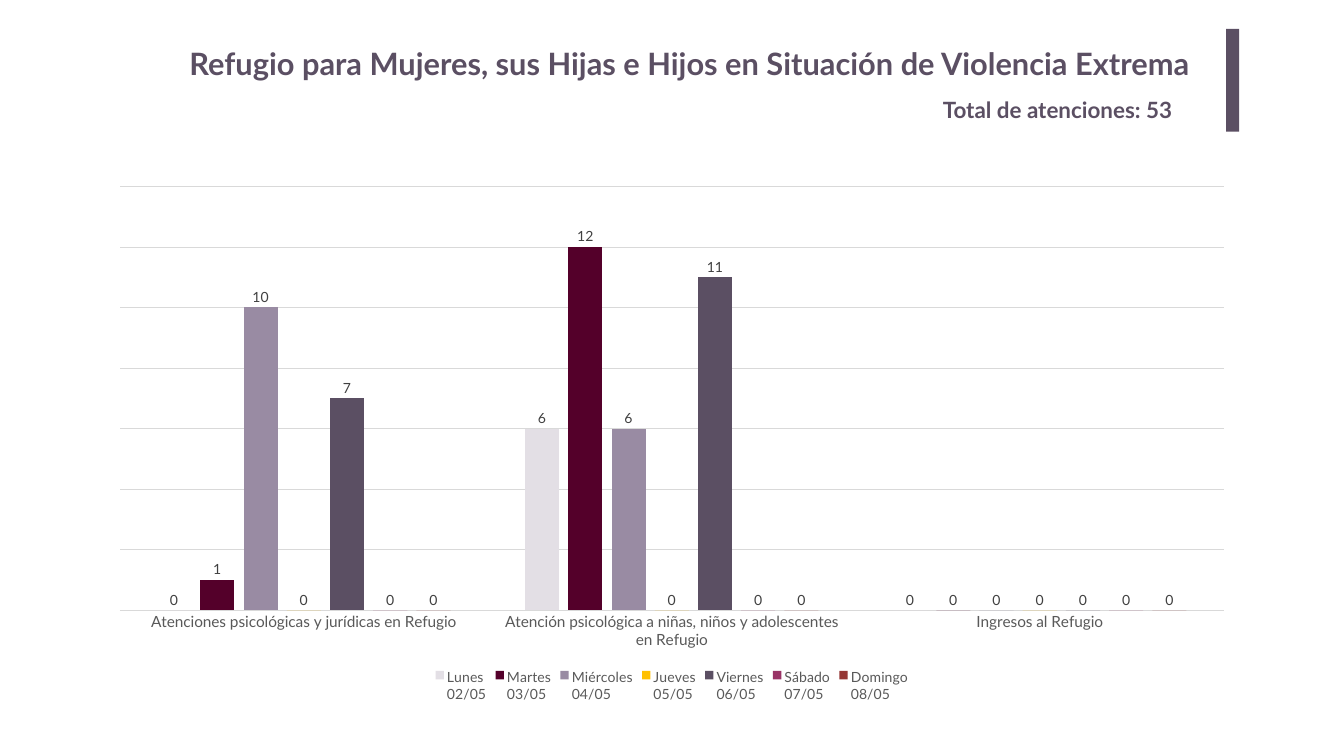
from lxml import etree
from pptx import Presentation
from pptx.chart.data import CategoryChartData
from pptx.dml.color import RGBColor
from pptx.enum.chart import XL_CHART_TYPE as ChartType, XL_LABEL_POSITION as LabelPosition
from pptx.enum.chart import XL_LEGEND_POSITION as LegendPosition, XL_TICK_MARK as TickMark
from pptx.enum.shapes import MSO_SHAPE as Shape
from pptx.enum.text import MSO_AUTO_SIZE as AutoSize
from pptx.oxml.ns import qn
from pptx.util import Cm, Pt

PURPLE, GREY, RULE = "5B4F63", "595959", "D9D9D9"


def set_font(font, size, color, bold=False):
    font.name = "Lato"
    font.size = Pt(size)
    font.bold = bold
    font.color.rgb = RGBColor.from_string(color)


presentation = Presentation()
presentation.slide_width = Cm(67.74)
presentation.slide_height = Cm(38.1)
slide = presentation.slides.add_slide(presentation.slide_layouts[6])

# Heading with its accent bar
bar = slide.shapes.add_shape(Shape.RECTANGLE, Cm(61.8), Cm(1.45), Cm(0.66), Cm(5.18))
bar.shadow.inherit = False
bar.fill.solid()
bar.fill.fore_color.rgb = RGBColor.from_string(PURPLE)
bar.line.fill.background()

headings = [
    ("Total de atenciones: 53", 32, 47.27, 4.7, 13.59, 1.63),
    ("Refugio para Mujeres, sus Hijas e Hijos en Situación de Violencia Extrema",
     44, 9.3, 2.13, 52.65, 2.13),
]
for text, size, left, top, width, height in headings:
    box = slide.shapes.add_textbox(Cm(left), Cm(top), Cm(width), Cm(height))
    frame = box.text_frame
    frame.word_wrap = True
    frame.auto_size = AutoSize.SHAPE_TO_FIT_TEXT
    run = frame.paragraphs[0].add_run()
    run.text = text
    set_font(run.font, size, PURPLE, bold=True)

# Services per day
days = [
    ("Lunes\n02/05", (0, 6, 0), "E3DFE5"),
    ("Martes\n03/05", (1, 12, 0), "54002A"),
    ("Miércoles\n04/05", (10, 6, 0), "998BA3"),
    ("Jueves\n05/05", (0, 0, 0), "FFC000"),
    ("Viernes\n06/05", (7, 11, 0), PURPLE),
    ("Sábado\n07/05", (0, 0, 0), "993366"),
    ("Domingo\n08/05", (0, 0, 0), "953735"),
]
chart_data = CategoryChartData(number_format="0")
chart_data.categories = [
    "Atenciones psicológicas y jurídicas en Refugio",
    "Atención psicológica a niñas, niños y adolescentes en Refugio",
    "Ingresos al Refugio",
]
for name, values, color in days:
    chart_data.add_series(name, values)

chart = slide.shapes.add_chart(
    ChartType.COLUMN_CLUSTERED, Cm(4.88), Cm(8.86), Cm(57.96), Cm(26.7), chart_data
).chart
set_font(chart.font, 20, "000000")
chart.has_title = False
chart.has_legend = True
chart.legend.position = LegendPosition.BOTTOM
chart.legend.include_in_layout = False
set_font(chart.legend.font, 20, GREY)

category_axis = chart.category_axis
category_axis.major_tick_mark = TickMark.NONE
category_axis.format.line.color.rgb = RGBColor.from_string(RULE)
category_axis.format.line.width = Pt(0.75)
set_font(category_axis.tick_labels.font, 22, GREY)

value_axis = chart.value_axis
value_axis.visible = False
value_axis.minimum_scale, value_axis.maximum_scale = 0, 14
value_axis.major_unit = 2
gridline = value_axis.major_gridlines.format.line
gridline.color.rgb = RGBColor.from_string(RULE)
gridline.width = Pt(0.75)

plot = chart.plots[0]
plot.gap_width = 219
plot.overlap = -27
plot.vary_by_categories = False
for series, (name, values, color) in zip(plot.series, days):
    series.format.fill.solid()
    series.format.fill.fore_color.rgb = RGBColor.from_string(color)
    labels = series.data_labels
    labels.show_value = True
    labels.position = LabelPosition.OUTSIDE_END
    set_font(labels.font, 20, "404040")

# Fixed inner plot area, as fractions of the chart
plot_area = chart.element.find(".//" + qn("c:plotArea"))
for old_layout in plot_area.findall(qn("c:layout")):
    plot_area.remove(old_layout)
layout = etree.Element(qn("c:layout"))
manual_layout = etree.SubElement(layout, qn("c:manualLayout"))
for tag, value in [("layoutTarget", "inner"), ("xMode", "edge"), ("yMode", "edge"),
                   ("x", "0.02"), ("y", "0.02"), ("w", "0.96"), ("h", "0.8")]:
    etree.SubElement(manual_layout, qn("c:" + tag)).set("val", value)
plot_area.insert(0, layout)

presentation.save("out.pptx")
